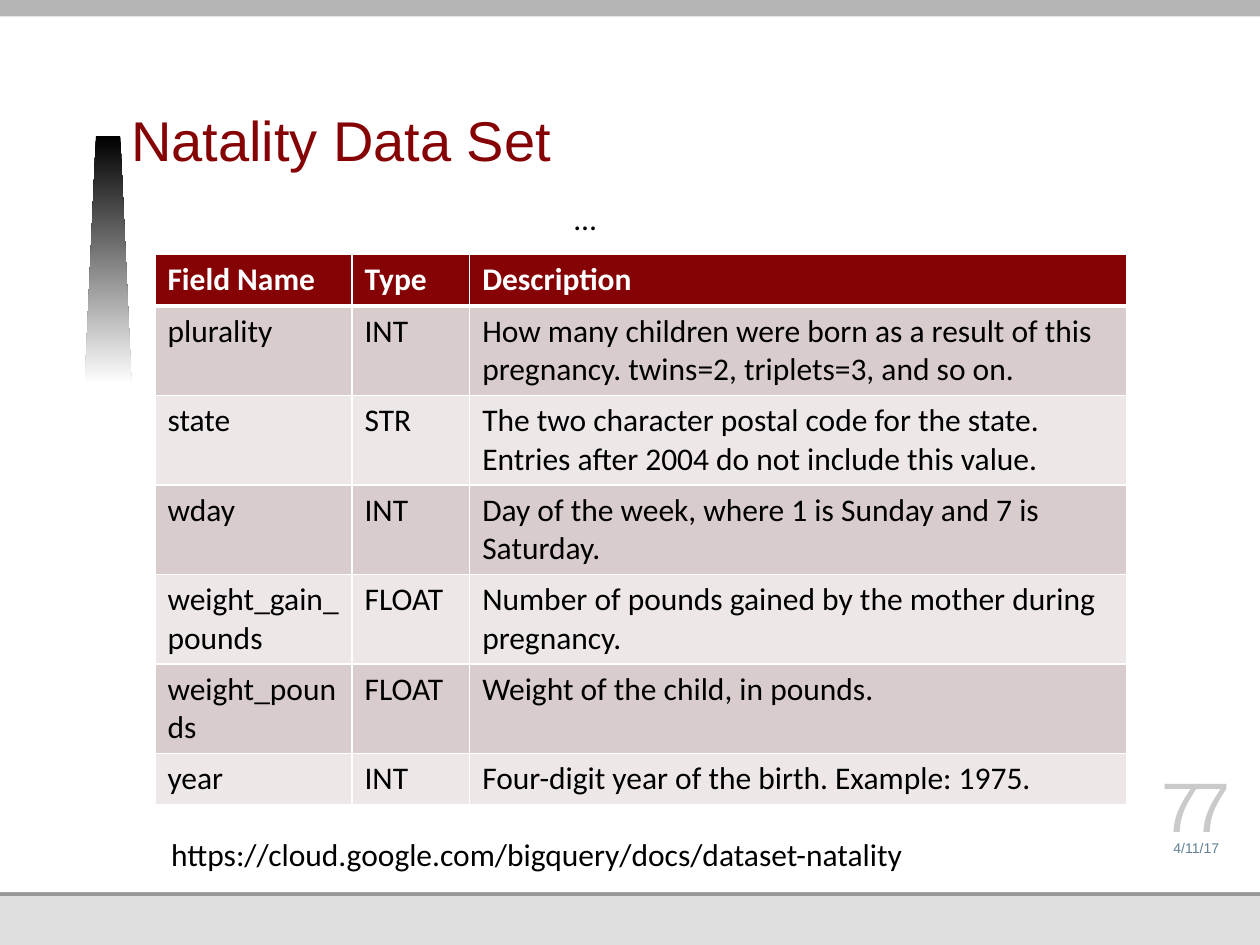
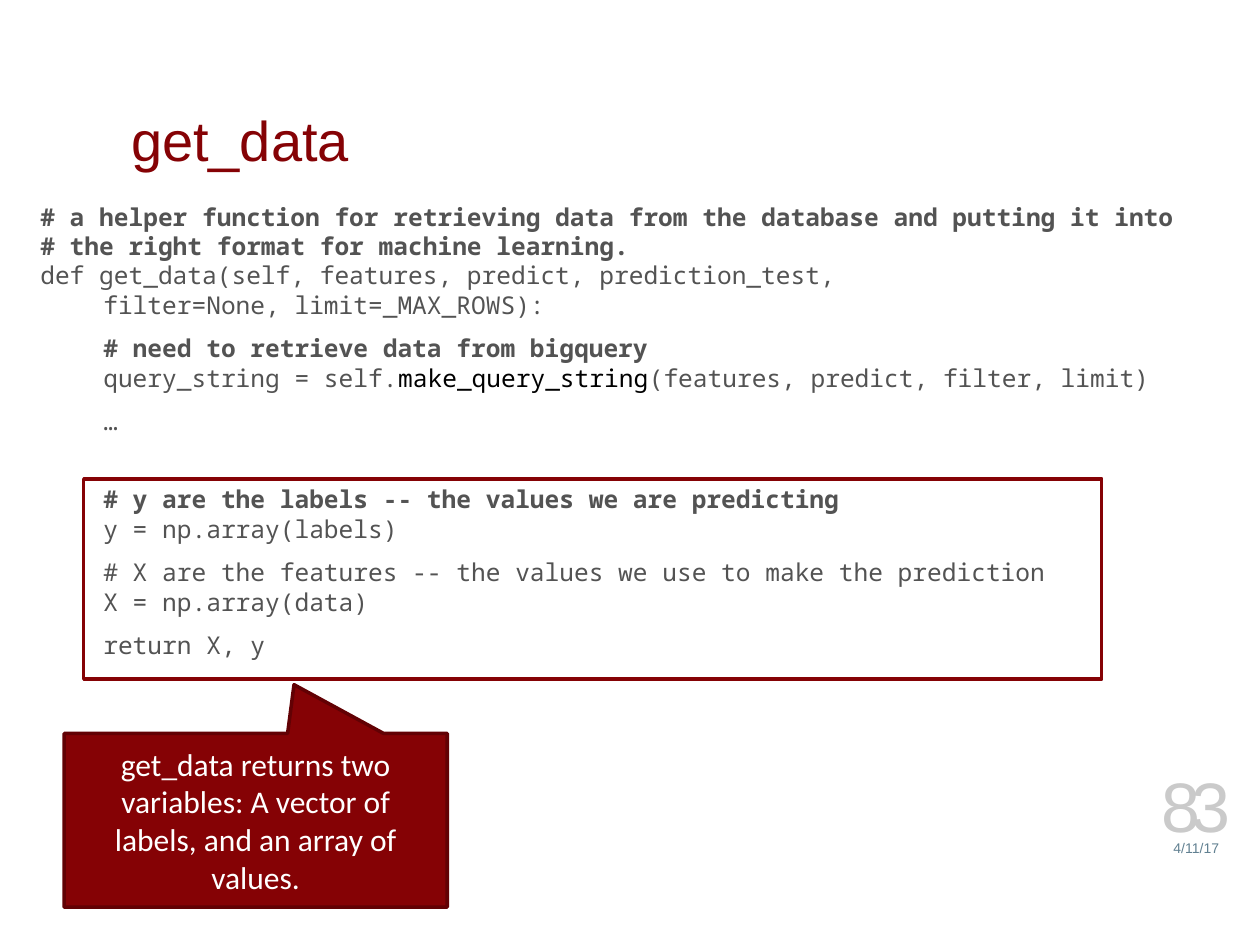
from lxml.etree import SubElement
from pptx import Presentation
from pptx.dml.color import RGBColor
from pptx.enum.shapes import MSO_SHAPE
from pptx.enum.text import MSO_ANCHOR, PP_ALIGN
from pptx.oxml.ns import qn
from pptx.util import Inches, Pt

COLORS = {name: RGBColor.from_string(value) for name, value in {
    "maroon": "850205", "dark maroon": "620104", "white": "FFFFFF", "black": "000000",
    "top band": "B5B5B5", "rule": "989898", "footer": "DFDFDF",
    "odd row": "D9CCCC", "even row": "EDE7E7",
    "date": "618091", "page": "CACACA", "code": "535353",
}.items()}

# Text formats: font name, size, colour
FORMATS = {
    "title": {"name": "Arial", "size": Pt(32), "color": "maroon"},
    "date": {"name": "Arial", "size": Pt(8), "color": "date"},
    "page": {"name": "Arial", "size": Pt(40), "color": "page"},
    "body": {"name": "Calibri", "size": Pt(18), "color": "black"},
    "header": {"name": "Calibri", "size": Pt(18), "color": "white", "bold": True},
    "callout": {"name": "Calibri", "size": Pt(18), "color": "white"},
    "code": {"name": "Noto Sans Mono", "size": Pt(14), "color": "code"},
    "comment": {"name": "Noto Sans Mono", "size": Pt(14), "color": "code", "bold": True},
    "call": {"name": "Noto Sans Mono", "size": Pt(14), "color": "black"},
}
TIGHT = {"margin_left": 0, "margin_right": 0, "margin_top": 0, "margin_bottom": 0,
         "vertical_anchor": MSO_ANCHOR.BOTTOM}

# Layers of each background, from back to front
BANDED = [("footer", (0, 0, 100, 100)), ("rule", (0, 23.73, 100, 71.07)),
          ("white", (0, 0, 100, 94.4)), ("top band", (0, -0.53, 101.7, 2.27))]
PLAIN = [("white", (0, 0, 100, 100))]

presentation = Presentation()
presentation.slide_width, presentation.slide_height = Inches(10), Inches(7.5)
column = presentation.slide_width / 100   # one percent of the slide's width
row = presentation.slide_height / 100     # one percent of the slide's height


def place(left, top, width, height):
    return [round(left * column), round(top * row), round(width * column), round(height * row)]


def add_run(paragraph, text, style):
    run = paragraph.add_run()
    run.text = text
    for attribute, value in FORMATS[style].items():
        if attribute == "color":
            run.font.color.rgb = COLORS[value]
        else:
            setattr(run.font, attribute, value)
    return run


# Shared parts: background, title, date and page number
slides = []
for title, page, layers in [("Natality Data Set", "77", BANDED), ("get_data", "83", PLAIN)]:
    slide = presentation.slides.add_slide(presentation.slide_layouts[6])
    slides.append(slide)
    for color, area in layers:
        layer = slide.shapes.add_shape(MSO_SHAPE.RECTANGLE, *place(*area))
        layer.shadow.inherit = False
        layer.fill.solid()
        layer.fill.fore_color.rgb = COLORS[color]
        layer.line.fill.background()
    for text, style, area, alignment in [
        (title, "title", (10.4, 4.53, 68.7, 14.4), PP_ALIGN.LEFT),
        ("4/11/17", "date", (91.3, 87.73, 7.3, 2.93), PP_ALIGN.CENTER),
        (page, "page", (91.3, 82.13, 7.3, 7.47), PP_ALIGN.CENTER),
    ]:
        frame = slide.shapes.add_textbox(*place(*area)).text_frame
        frame.word_wrap = True
        for attribute, value in TIGHT.items():
            setattr(frame, attribute, value)
        paragraph = frame.paragraphs[0]
        paragraph.alignment = alignment
        run = add_run(paragraph, text, style)
        if style == "title":
            frame.margin_bottom = Inches(0.05)
            paragraph.line_spacing = Pt(34)
        if style == "page":
            run.font._element.set("spc", "-500")

natality, get_data = slides

# Natality slide: fading wedge
builder = natality.shapes.build_freeform(round(6.72 * column), round(40.67 * row))
builder.add_line_segments([(round(x * column), round(y * row))
                           for x, y in [(7.62, 14.4), (9.54, 14.4), (10.44, 40.67)]])
wedge = builder.convert_to_shape()
wedge.shadow.inherit = False
wedge.line.fill.background()
wedge.fill.gradient()
wedge.fill.gradient_angle = 270
for stop, color, position in zip(wedge.fill.gradient_stops, ("black", "white"), (0, 1)):
    stop.color.rgb = COLORS[color]
    stop.position = position

# Natality slide: table of fields
fields = [
    ("Field Name", "Type", "Description"),
    ("plurality", "INT", "How many children were born as a result of this pregnancy. "
                         "twins=2, triplets=3, and so on."),
    ("state", "STR", "The two character postal code for the state. "
                     "Entries after 2004 do not include this value."),
    ("wday", "INT", "Day of the week, where 1 is Sunday and 7 is Saturday."),
    ("weight_gain_pounds", "FLOAT", "Number of pounds gained by the mother during pregnancy."),
    ("weight_pounds", "FLOAT", "Weight of the child, in pounds."),
    ("year", "INT", "Four-digit year of the birth. Example: 1975."),
]
table = natality.shapes.add_table(len(fields), 3, *place(12.3, 26.93, 77.1, 58)).table
for table_column, width in zip(table.columns, (15.64, 9.34, 52.12)):
    table_column.width = round(width * column)
for index, field in enumerate(fields):
    table.rows[index].height = Inches(0.41 if index in (0, len(fields) - 1) else 0.71)
    fill = "maroon" if index == 0 else ("even row", "odd row")[index % 2]
    for cell, text in zip(table.rows[index].cells, field):
        for side in "LRTB":
            thick = (index, side) in [(0, "B"), (1, "T")]
            border = SubElement(cell._tc.get_or_add_tcPr(), qn("a:ln" + side),
                                w=str(Pt(3 if thick else 1)))
            SubElement(SubElement(border, qn("a:solidFill")), qn("a:srgbClr"),
                       val=str(COLORS["white"]))
        cell.fill.solid()
        cell.fill.fore_color.rgb = COLORS[fill]
        add_run(cell.text_frame.paragraphs[0], text, "body" if index else "header")

# Natality slide: ellipsis and source
for text, area in [
    ("…", (44.6, 20.4, 3.8, 5.33)),
    ("https://cloud.google.com/bigquery/docs/dataset-natality", (12.6, 87.73, 60.9, 5.33)),
]:
    frame = natality.shapes.add_textbox(*place(*area)).text_frame
    frame.word_wrap = True
    add_run(frame.paragraphs[0], text, "body")

# get_data slide: code as paragraphs of lines of (text, style), with the space after each
code = [
    (8, [[("# a helper function for retrieving data from the database and putting it into", "comment")],
         [("# the right format for machine learning.", "comment")],
         [("def get_data(self, features, predict, prediction_test,", "code")],
         [("\tfilter=None, limit=_MAX_ROWS):", "code")]]),
    (8, [[("\t# need to retrieve data from bigquery", "comment")],
         [("\tquery_string = self.", "code"), ("make_query_string", "call"),
          ("(features, predict, filter, limit)", "code")]]),
    (28, [[("\t…", "code")]]),
    (8, [[("\t# y are the labels -- the values we are predicting", "comment")],
         [("\ty = np.array(labels)", "code")]]),
    (8, [[("\t# X are the features -- the values we use to make the prediction", "code")],
         [("\tX = np.array(data)", "code")]]),
    (8, [[("\treturn X, y", "code")]]),
]
frame = get_data.shapes.add_textbox(*place(3.2, 21.33, 93.5, 69.47)).text_frame
frame.word_wrap = True
for attribute, value in TIGHT.items():
    setattr(frame, attribute, value)
frame.vertical_anchor = MSO_ANCHOR.TOP
for index, (space_after, lines) in enumerate(code):
    paragraph = frame.add_paragraph() if index else frame.paragraphs[0]
    tabs = SubElement(paragraph._p.get_or_add_pPr(), qn("a:tabLst"))
    SubElement(tabs, qn("a:tab"), pos=str(Inches(0.5)), algn="l")
    paragraph.space_after = Pt(space_after)
    for number, line in enumerate(lines):
        if number:
            paragraph.add_line_break()
        for text, style in line:
            add_run(paragraph, text, style)

# get_data slide: frame around the result and its callout
highlight = get_data.shapes.add_shape(MSO_SHAPE.RECTANGLE, *place(6.64, 50.67, 80.8, 21.2))
highlight.fill.background()
callout = get_data.shapes.add_shape(MSO_SHAPE.RECTANGULAR_CALLOUT, *place(5.1, 77.6, 30.4, 18.4))
callout.adjustments[0], callout.adjustments[1] = 0.1, -0.78
callout.fill.solid()
callout.fill.fore_color.rgb = COLORS["maroon"]
for shape, color in [(highlight, "maroon"), (callout, "dark maroon")]:
    shape.shadow.inherit = False
    shape.line.color.rgb = COLORS[color]
    shape.line.width = Pt(2)
for attribute, value in {"word_wrap": True, "vertical_anchor": MSO_ANCHOR.MIDDLE,
                         "margin_left": Inches(0.15), "margin_right": Inches(0.15)}.items():
    setattr(callout.text_frame, attribute, value)
paragraph = callout.text_frame.paragraphs[0]
paragraph.alignment = PP_ALIGN.CENTER
add_run(paragraph, "get_data returns two variables: A vector of labels, and an array of values.", "callout")

presentation.save("out.pptx")
